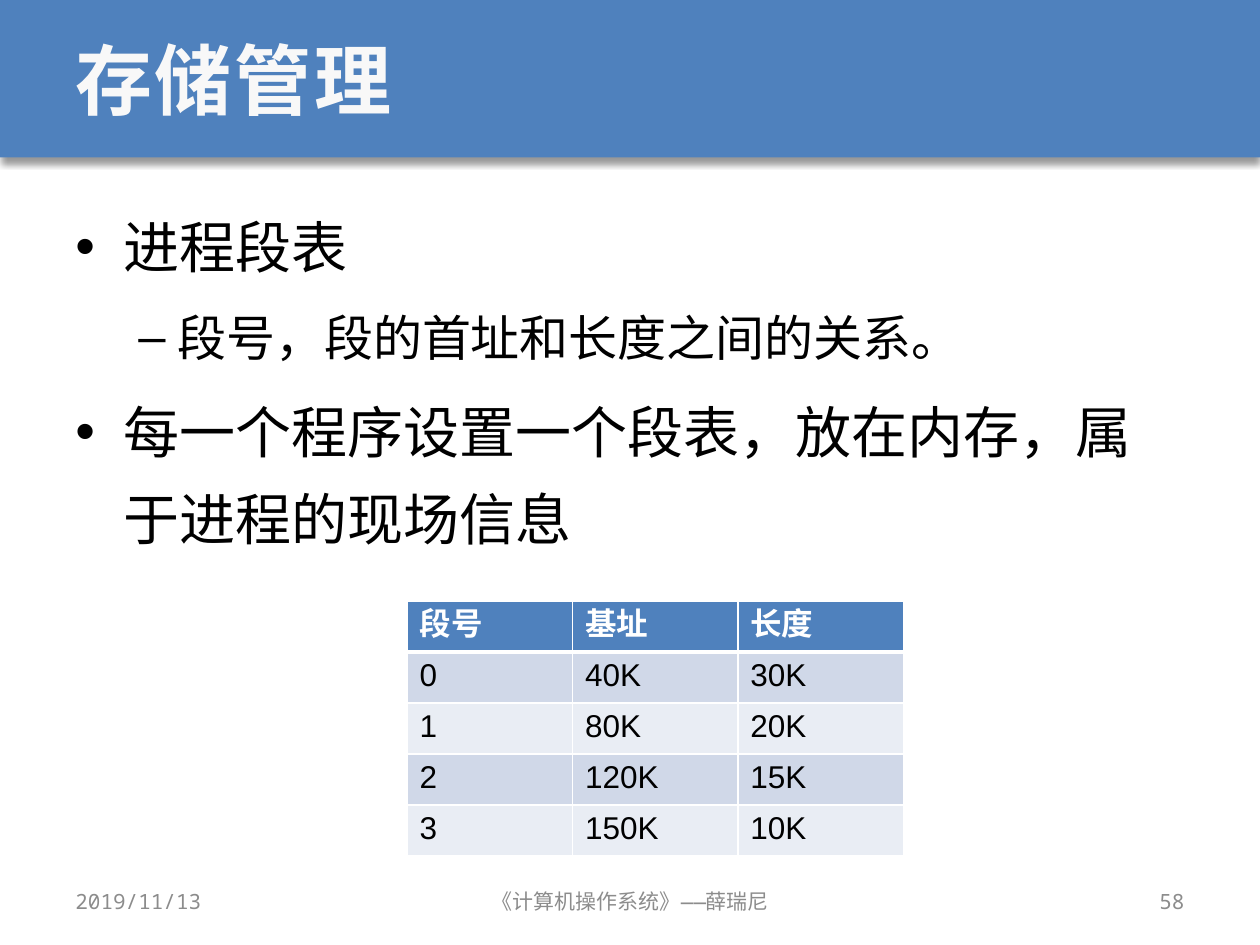
from dataclasses import dataclass
from typing import Optional

from lxml.etree import SubElement
from pptx import Presentation
from pptx.dml.color import RGBColor
from pptx.enum.shapes import MSO_SHAPE
from pptx.enum.text import MSO_ANCHOR, PP_ALIGN
from pptx.oxml.ns import qn
from pptx.util import Emu, Inches, Pt

SLIDE_WIDTH, SLIDE_HEIGHT = Inches(10), Inches(7.5)


@dataclass(frozen=True)
class Theme:
    accent: str = "4F81BD"
    white: str = "FFFFFF"
    title: str = "F8F8F8"
    text: str = "000000"
    muted: str = "8C8C8C"
    bands: tuple = ("D0D8E8", "E9EDF4")
    font: str = "Noto Sans Mono"
    table_font: str = "Arial"
    title_size: float = 44
    level_sizes: tuple = (32, 28)
    table_size: float = 18
    footer_size: float = 12


@dataclass(frozen=True)
class Area:
    left: float
    top: float
    width: float
    height: float

    def lengths(self) -> tuple:
        return (Emu(round(self.left * SLIDE_WIDTH)), Emu(round(self.top * SLIDE_HEIGHT)),
                Emu(round(self.width * SLIDE_WIDTH)), Emu(round(self.height * SLIDE_HEIGHT)))


@dataclass(frozen=True)
class Style:
    size: float
    color: str
    font: str
    bold: bool = False
    spacing: Optional[float] = None


@dataclass(frozen=True)
class Bullet:
    text: str
    level: int = 0


@dataclass(frozen=True)
class Level:
    symbol: str
    margin: float
    hanging: float


@dataclass(frozen=True)
class Footer:
    text: str
    left: float
    width: float
    alignment: PP_ALIGN


THEME = Theme()
HEADER = Area(0, 0, 1, 1 / 6)
TITLE = Area(0.05, 0, 0.9, 1 / 6)
BODY = Area(0.05, 0.197, 0.9, 0.71)
TABLE = Area(0.323, 0.636, 0.394, 0.27)
FOOTER_TOP, FOOTER_HEIGHT = 0.927, 0.053
LEVELS = (Level("•", 0.38, 0.38), Level("–", 0.81, 0.31))
BULLETS = (
    Bullet("进程段表"),
    Bullet("段号，段的首址和长度之间的关系。", 1),
    Bullet("每一个程序设置一个段表，放在内存，属于进程的现场信息"),
)
FOOTERS = (
    Footer("2019/11/13", 0.05, 0.233, PP_ALIGN.LEFT),
    Footer("《计算机操作系统》——薛瑞尼", 0.342, 0.317, PP_ALIGN.CENTER),
    Footer("58", 0.717, 0.233, PP_ALIGN.RIGHT),
)
SEGMENTS = (
    ("段号", "基址", "长度"),
    ("0", "40K", "30K"),
    ("1", "80K", "20K"),
    ("2", "120K", "15K"),
    ("3", "150K", "10K"),
)


def add_run(paragraph, text: str, style: Style) -> None:
    run = paragraph.add_run()
    run.text = text
    run.font.size = Pt(style.size)
    run.font.bold = style.bold
    run.font.name = style.font
    run.font.color.rgb = RGBColor.from_string(style.color)
    properties = run.font._element
    SubElement(properties, qn("a:ea")).set("typeface", style.font)
    if style.spacing is not None:
        properties.set("spc", str(round(style.spacing * 100)))


def add_text_frame(slide, area: Area, anchor: MSO_ANCHOR):
    frame = slide.shapes.add_textbox(*area.lengths()).text_frame
    frame.word_wrap = True
    frame.vertical_anchor = anchor
    return frame


def add_line(slide, area: Area, text: str, style: Style, alignment: PP_ALIGN) -> None:
    paragraph = add_text_frame(slide, area, MSO_ANCHOR.MIDDLE).paragraphs[0]
    paragraph.alignment = alignment
    add_run(paragraph, text, style)


def add_header(slide) -> None:
    band = slide.shapes.add_shape(MSO_SHAPE.RECTANGLE, *HEADER.lengths())
    band.fill.solid()
    band.fill.fore_color.rgb = RGBColor.from_string(THEME.accent)
    band.line.fill.background()
    band.shadow.inherit = False
    effects = band._element.spPr.find(qn("a:effectLst"))
    shadow = SubElement(effects, qn("a:outerShdw"), blurRad=str(Pt(4)), dist=str(Pt(3)),
                        dir="5400000", rotWithShape="0")
    color = SubElement(shadow, qn("a:srgbClr"), val=THEME.text)
    SubElement(color, qn("a:alpha"), val="40000")


def add_bullets(slide, bullets: tuple) -> None:
    frame = add_text_frame(slide, BODY, MSO_ANCHOR.TOP)
    for index, bullet in enumerate(bullets):
        paragraph = frame.add_paragraph() if index else frame.paragraphs[0]
        level, size = LEVELS[bullet.level], THEME.level_sizes[bullet.level]
        paragraph.level = bullet.level
        properties = paragraph._p.get_or_add_pPr()
        properties.set("marL", str(Inches(level.margin)))
        properties.set("indent", str(-Inches(level.hanging)))
        SubElement(properties, qn("a:buFont"), typeface=THEME.table_font)
        SubElement(properties, qn("a:buChar"), char=level.symbol)
        paragraph.line_spacing = 1.3
        if index:
            paragraph.space_before = Pt(size * 0.2)
        add_run(paragraph, bullet.text, Style(size, THEME.text, THEME.font))


def add_borders(cell, top: float, bottom: float) -> None:
    properties = cell._tc.get_or_add_tcPr()
    for side, width in (("L", 1), ("R", 1), ("T", top), ("B", bottom)):
        line = SubElement(properties, qn(f"a:ln{side}"), w=str(Pt(width)))
        fill = SubElement(line, qn("a:solidFill"))
        SubElement(fill, qn("a:srgbClr"), val=THEME.white)


def add_segment_table(slide, rows: tuple) -> None:
    table = slide.shapes.add_table(len(rows), len(rows[0]), *TABLE.lengths()).table
    for row, values in enumerate(rows):
        heading = row == 0
        color = THEME.white if heading else THEME.text
        fill = THEME.accent if heading else THEME.bands[(row - 1) % 2]
        style = Style(THEME.table_size, color, THEME.table_font, heading)
        for column, value in enumerate(values):
            cell = table.cell(row, column)
            add_borders(cell, 3 if row == 1 else 1, 3 if heading else 1)
            cell.fill.solid()
            cell.fill.fore_color.rgb = RGBColor.from_string(fill)
            add_run(cell.text_frame.paragraphs[0], value, style)


def main() -> None:
    presentation = Presentation()
    presentation.slide_width, presentation.slide_height = SLIDE_WIDTH, SLIDE_HEIGHT
    slide = presentation.slides.add_slide(presentation.slide_layouts[6])
    add_header(slide)
    title_style = Style(THEME.title_size, THEME.title, THEME.font, True, 1.5)
    add_line(slide, TITLE, "存储管理", title_style, PP_ALIGN.LEFT)
    add_bullets(slide, BULLETS)
    footer_style = Style(THEME.footer_size, THEME.muted, THEME.font)
    for footer in FOOTERS:
        area = Area(footer.left, FOOTER_TOP, footer.width, FOOTER_HEIGHT)
        add_line(slide, area, footer.text, footer_style, footer.alignment)
    add_segment_table(slide, SEGMENTS)
    presentation.save("out.pptx")


if __name__ == "__main__":
    main()
